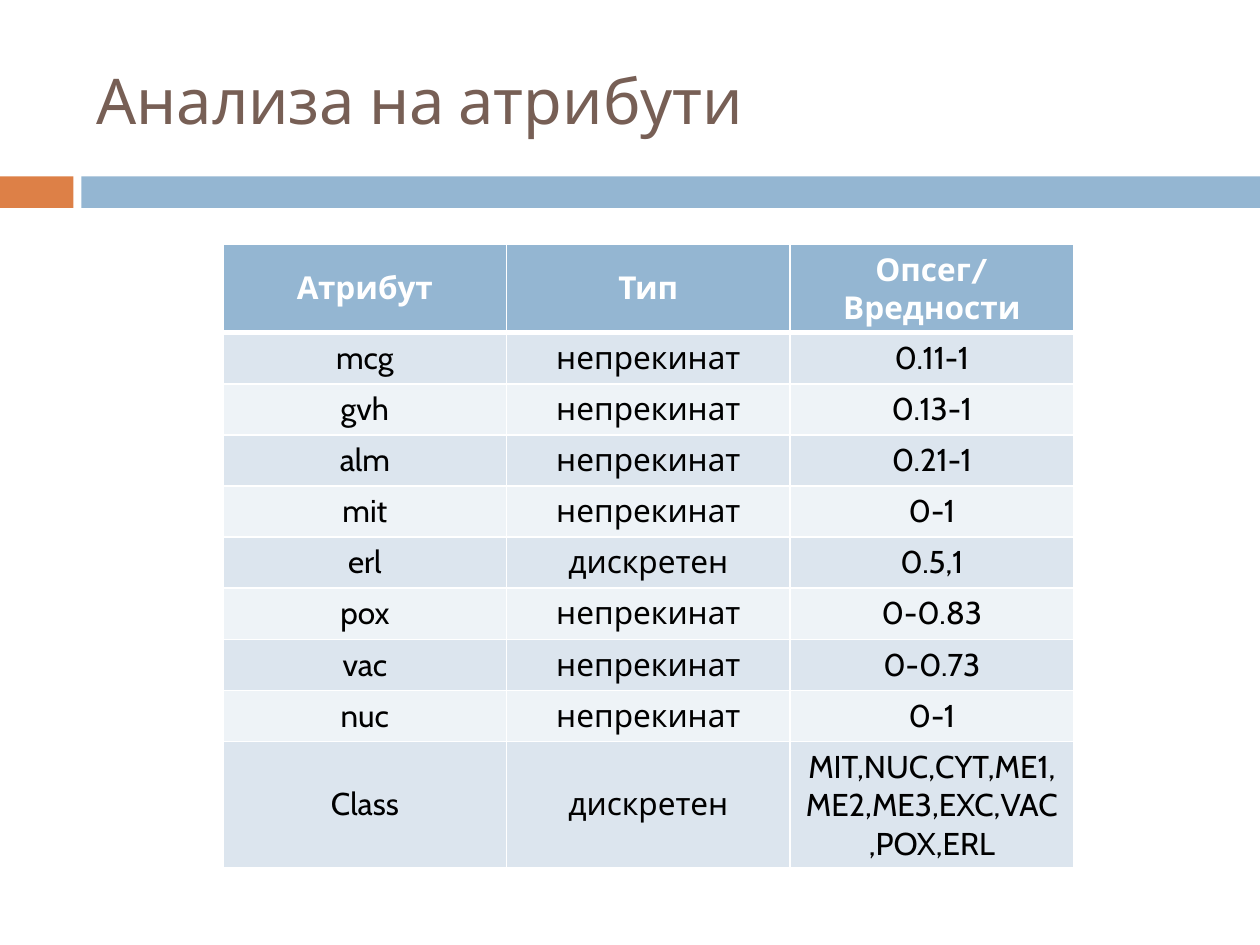
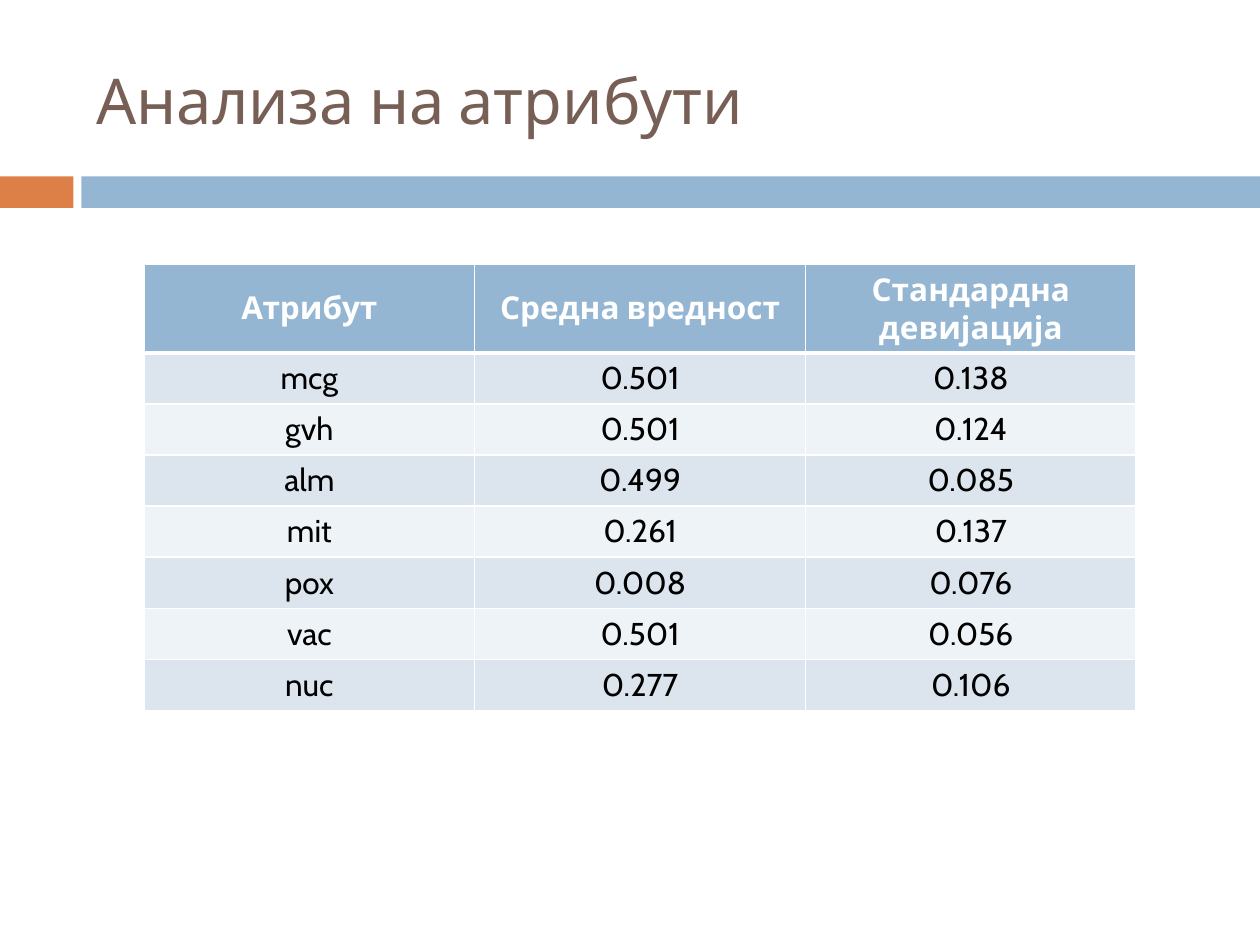
import pptx
import pptx.util
import pptx.dml.color
import pptx.enum.shapes
import pptx.enum.text
import pptx.oxml
import pptx.oxml.ns

Pt = pptx.util.Pt
RGBColor = pptx.dml.color.RGBColor
ALIGN = pptx.enum.text.PP_ALIGN
MIDDLE = pptx.enum.text.MSO_ANCHOR.MIDDLE

WHITE = RGBColor(0xFF, 0xFF, 0xFF)
BLACK = RGBColor(0x00, 0x00, 0x00)
ORANGE = RGBColor(0xDD, 0x80, 0x47)
BLUE = RGBColor(0x94, 0xB6, 0xD2)
BROWN = RGBColor(0x77, 0x5F, 0x55)
BAND_DARK = RGBColor(0xDC, 0xE5, 0xEE)
BAND_LIGHT = RGBColor(0xEE, 0xF3, 0xF7)
FONT = "Cabin"
TITLE = "Анализа на атрибути"
BANDS = [(0, 42, ORANGE), (46.5, 673.5, BLUE)]  # left, width, colour
ROW_HEIGHT = 29.2


def set_text(tf, text, size=18, color=BLACK, bold=False, align=ALIGN.CENTER):
    p = tf.paragraphs[0]
    p.alignment = align
    r = p.add_run()
    r.text = text
    r.font.name = FONT
    r.font.size = Pt(size)
    r.font.bold = bold
    r.font.color.rgb = color


def set_borders(cell, **widths):
    tcPr = cell._tc.get_or_add_tcPr()
    for side in ("L", "R", "T", "B"):
        width = Pt(widths.get(side, 1))
        tcPr.append(pptx.oxml.parse_xml(
            f'<a:ln{side} {pptx.oxml.ns.nsdecls("a")} w="{width}">'
            f'<a:solidFill><a:srgbClr val="{WHITE}"/></a:solidFill></a:ln{side}>'))


CONTINUOUS, DISCRETE = "непрекинат", "дискретен"
tables = [
    dict(left=127.5, top=139.7, col_width=162, header_height=39, rows=[
        ("Атрибут", "Тип", "Опсег/Вредности"),
        ("mcg", CONTINUOUS, "0.11-1"),
        ("gvh", CONTINUOUS, "0.13-1"),
        ("alm", CONTINUOUS, "0.21-1"),
        ("mit", CONTINUOUS, "0-1"),
        ("erl", DISCRETE, "0.5,1"),
        ("pox", CONTINUOUS, "0-0.83"),
        ("vac", CONTINUOUS, "0-0.73"),
        ("nuc", CONTINUOUS, "0-1"),
        ("Class", DISCRETE, "MIT,NUC,CYT,ME1,ME2,ME3,EXC,VAC,POX,ERL"),
    ]),
    dict(left=82.3, top=151.2, col_width=189, header_height=ROW_HEIGHT, rows=[
        ("Атрибут", "Средна вредност", "Стандардна девијација"),
        ("mcg", "0.501", "0.138"),
        ("gvh", "0.501", "0.124"),
        ("alm", "0.499", "0.085"),
        ("mit", "0.261", "0.137"),
        ("pox", "0.008", "0.076"),
        ("vac", "0.501", "0.056"),
        ("nuc", "0.277", "0.106"),
    ]),
]

prs = pptx.Presentation()
prs.slide_width, prs.slide_height = Pt(720), Pt(540)

for spec_table in tables:
    s = prs.slides.add_slide(prs.slide_layouts[6])

    # Colour bands under the title
    for left, width, color in BANDS:
        sp = s.shapes.add_shape(pptx.enum.shapes.MSO_SHAPE.RECTANGLE,
                                Pt(left), Pt(100.8), Pt(width), Pt(18))
        sp.shadow.inherit = False
        sp.fill.solid()
        sp.fill.fore_color.rgb = color
        sp.line.fill.background()

    # Title
    tf = s.shapes.add_textbox(Pt(48), Pt(18), Pt(642), Pt(78)).text_frame
    tf.word_wrap = True
    tf.vertical_anchor = MIDDLE
    set_text(tf, TITLE, size=36, color=BROWN, align=ALIGN.LEFT)

    # Table: header row, then alternating bands
    rows = spec_table["rows"]
    col_width, header_height = spec_table["col_width"], spec_table["header_height"]
    table = s.shapes.add_table(
        len(rows), 3, Pt(spec_table["left"]), Pt(spec_table["top"]), Pt(3 * col_width),
        Pt(header_height + ROW_HEIGHT * (len(rows) - 1))).table
    for column in table.columns:
        column.width = Pt(col_width)
    for i, row in enumerate(rows):
        header = i == 0
        table.rows[i].height = Pt(header_height if header else ROW_HEIGHT)
        for j, value in enumerate(row):
            cell = table.cell(i, j)
            set_borders(cell, T=3 if i == 1 else 1, B=3 if header else 1)
            cell.fill.solid()
            cell.fill.fore_color.rgb = BLUE if header else BAND_DARK if i % 2 else BAND_LIGHT
            cell.vertical_anchor = MIDDLE
            set_text(cell.text_frame, value, color=WHITE if header else BLACK, bold=header)

prs.save("out.pptx")
